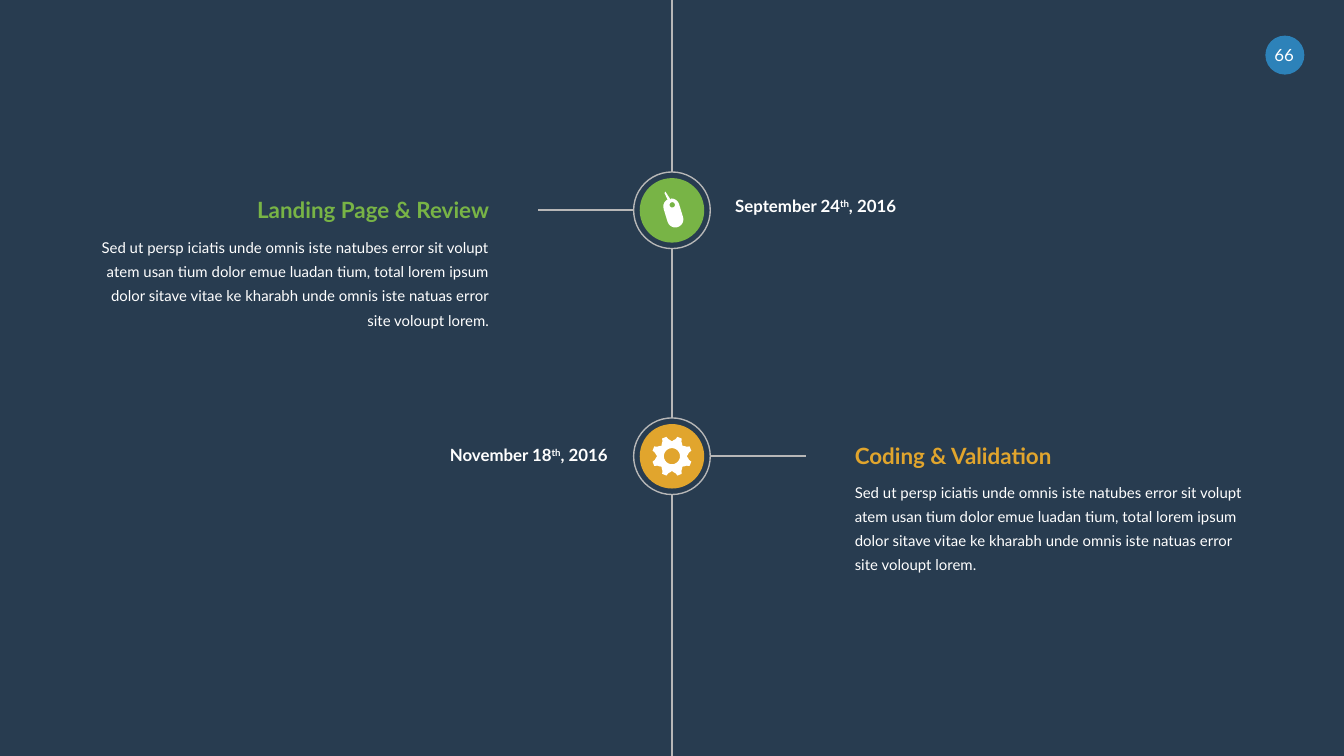
"""Build a two-milestone vertical timeline slide."""
from dataclasses import dataclass
from math import cos, radians, sin
from typing import Callable

from lxml.etree import SubElement
from pptx import Presentation
from pptx.dml.color import RGBColor as RGB
from pptx.enum.shapes import MSO_CONNECTOR as CONN, MSO_SHAPE as SHAPE
from pptx.enum.text import PP_ALIGN as ALIGN
from pptx.oxml.ns import qn
from pptx.util import Inches, Pt

COLORS = {
    "bg": "283C50", "line": "B7B7B7", "text": "FFFFFF",
    "badge": "2D82B9", "green": "78B446", "amber": "E1A52D",
}
FONT = "Lato"
WIDTH = 10
HEIGHT = WIDTH * 9 / 16
AXIS = WIDTH / 2
RING, DISC, ARM = 0.57, 0.48, 0.71
TEXT_W, DATE_W, MARGIN = 2.89, 1.62, 0.75
BODY = (
    "Sed ut persp iciatis unde omnis iste natubes error sit volupt atem usan tium "
    "dolor emue luadan tium, total lorem ipsum dolor sitave vitae ke kharabh unde "
    "omnis iste natuas error site voloupt lorem."
)

Points = list[tuple[float, float]]


@dataclass
class Run:
    text: str
    superscript: bool = False


@dataclass
class Milestone:
    title: str
    day: str
    color: str
    ring_top: float
    title_top: float
    body_top: float
    date_top: float
    on_left: bool
    icon: Callable[[], list[Points]]


def color(name: str) -> RGB:
    return RGB.from_string(COLORS[name])


def arc(cx: float, cy: float, radius: float, start: int, end: int) -> Points:
    step = 15 if end > start else -15
    return [(cx + radius * cos(radians(a)), cy + radius * sin(radians(a)))
            for a in range(start, end + step, step)]


def tag_icon() -> list[Points]:
    string = [(-0.01, -0.1), (-0.02, -0.16), (-0.01, -0.17), (0.01, -0.1)]
    outline = arc(0, 0.05, 0.06, 0, 180) + arc(0, -0.05, 0.06, 180, 255)
    outline += string + arc(0, -0.05, 0.06, 285, 360)
    hole = arc(0.01, -0.06, 0.02, 360, 15)
    c, s = cos(radians(17)), sin(radians(17))
    return [[(0.01 + u * c + v * s, 0.02 - u * s + v * c) for u, v in contour]
            for contour in (outline, hole)]


def gear_icon() -> list[Points]:
    notch = [(-16, 0.15), (-12, 0.13), (-6, 0.12), (0, 0.11), (6, 0.12), (12, 0.13), (16, 0.15)]
    outline = [(r * cos(radians(45 * k + a)), r * sin(radians(45 * k + a)))
               for k in range(8) for a, r in notch]
    return [outline, arc(0, 0, 0.06, 360, 15)]


def add_line(slide, x1: float, y1: float, x2: float, y2: float) -> None:
    ln = slide.shapes.add_connector(
        CONN.STRAIGHT, Inches(x1), Inches(y1), Inches(x2), Inches(y2))
    ln.line.color.rgb = color("line")
    ln.line.width = Pt(1)
    SubElement(ln._element.spPr, qn("a:effectLst"))


def add_circle(shapes, cx: float, cy: float, size: float, fill: str = "") -> None:
    sp = shapes.add_shape(SHAPE.OVAL, Inches(cx - size / 2), Inches(cy - size / 2),
                          Inches(size), Inches(size))
    sp.shadow.inherit = False
    if fill:
        sp.fill.solid()
        sp.fill.fore_color.rgb = color(fill)
        sp.line.fill.background()
    else:
        sp.fill.background()
        sp.line.color.rgb = color("line")
        sp.line.width = Pt(0.75)


def add_icon(shapes, cx: float, cy: float, contours: list[Points]) -> None:
    outline, hole = [[(Inches(cx + x), Inches(cy + y)) for x, y in c] for c in contours]
    builder = shapes.build_freeform(*outline[0])
    builder.add_line_segments(outline[1:])
    builder.move_to(*hole[0])
    builder.add_line_segments(hole[1:])
    sp = builder.convert_to_shape()
    sp.shadow.inherit = False
    sp.fill.solid()
    sp.fill.fore_color.rgb = color("text")
    sp.line.fill.background()


def add_text(slide, x: float, y: float, w: float, h: float, runs: list[Run], size: int,
             align: ALIGN, fill: str = "text", bold: bool = False,
             spacing: float = 1.0) -> None:
    tf = slide.shapes.add_textbox(Inches(x), Inches(y), Inches(w), Inches(h)).text_frame
    tf.word_wrap = True
    tf.margin_left = tf.margin_right = tf.margin_top = tf.margin_bottom = 0
    p = tf.paragraphs[0]
    p.alignment = align
    p.line_spacing = spacing
    for run in runs:
        r = p.add_run()
        r.text = run.text
        r.font.name = FONT
        r.font.size = Pt(size)
        r.font.bold = bold
        r.font.color.rgb = color(fill)
        if run.superscript:
            r._r.get_or_add_rPr().set("baseline", "30000")


def add_milestone(slide, m: Milestone) -> None:
    side = -1 if m.on_left else 1
    edge = AXIS + side * RING / 2
    y = m.ring_top + RING / 2
    add_line(slide, edge, y, edge + side * ARM, y)
    add_circle(slide.shapes, AXIS, y, RING)
    group = slide.shapes.add_group_shape()
    add_circle(group.shapes, AXIS, y, DISC, m.color)
    add_icon(group.shapes, AXIS, y, m.icon())

    near, far = (ALIGN.RIGHT, ALIGN.LEFT) if m.on_left else (ALIGN.LEFT, ALIGN.RIGHT)
    text_x = MARGIN if m.on_left else WIDTH - MARGIN - TEXT_W
    date_x = AXIS + 0.47 if m.on_left else AXIS - 0.48 - DATE_W
    add_text(slide, text_x, m.title_top, TEXT_W, 0.2, [Run(m.title)], 12, near, m.color, True)
    add_text(slide, text_x, m.body_top, TEXT_W, 0.71, [Run(BODY)], 8, near, spacing=1.35)
    date = [Run(m.day), Run("th", True), Run(", 2016")]
    add_text(slide, date_x, m.date_top, DATE_W, 0.15, date, 9, far, bold=True)


def main() -> None:
    prs = Presentation()
    prs.slide_width, prs.slide_height = Inches(WIDTH), Inches(HEIGHT)
    slide = prs.slides.add_slide(prs.slide_layouts[6])
    slide.background.fill.solid()
    slide.background.fill.fore_color.rgb = color("bg")

    add_circle(slide.shapes, 9.56, 0.41, 0.29, "badge")
    add_text(slide, 9.43, 0.33, 0.25, 0.15, [Run("66")], 9, ALIGN.CENTER)

    milestones = [
        Milestone("Landing Page & Review", "September 24", "green",
                  1.28, 1.46, 1.73, 1.46, True, tag_icon),
        Milestone("Coding & Validation", "November 18", "amber",
                  3.11, 3.29, 3.55, 3.31, False, gear_icon),
    ]
    top = 0.0
    for m in milestones:
        add_line(slide, AXIS, top, AXIS, m.ring_top)
        top = m.ring_top + RING
        add_milestone(slide, m)
    add_line(slide, AXIS, top, AXIS, HEIGHT)
    prs.save("out.pptx")


if __name__ == "__main__":
    main()
